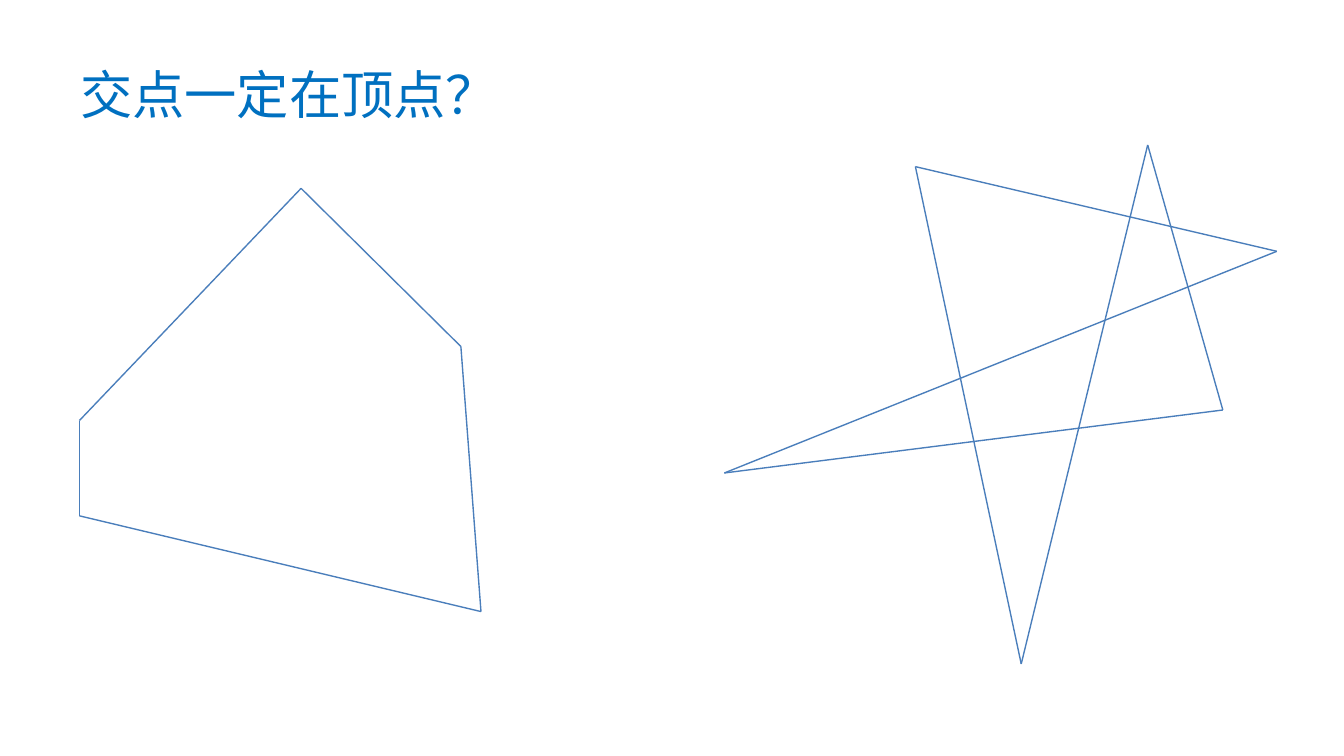
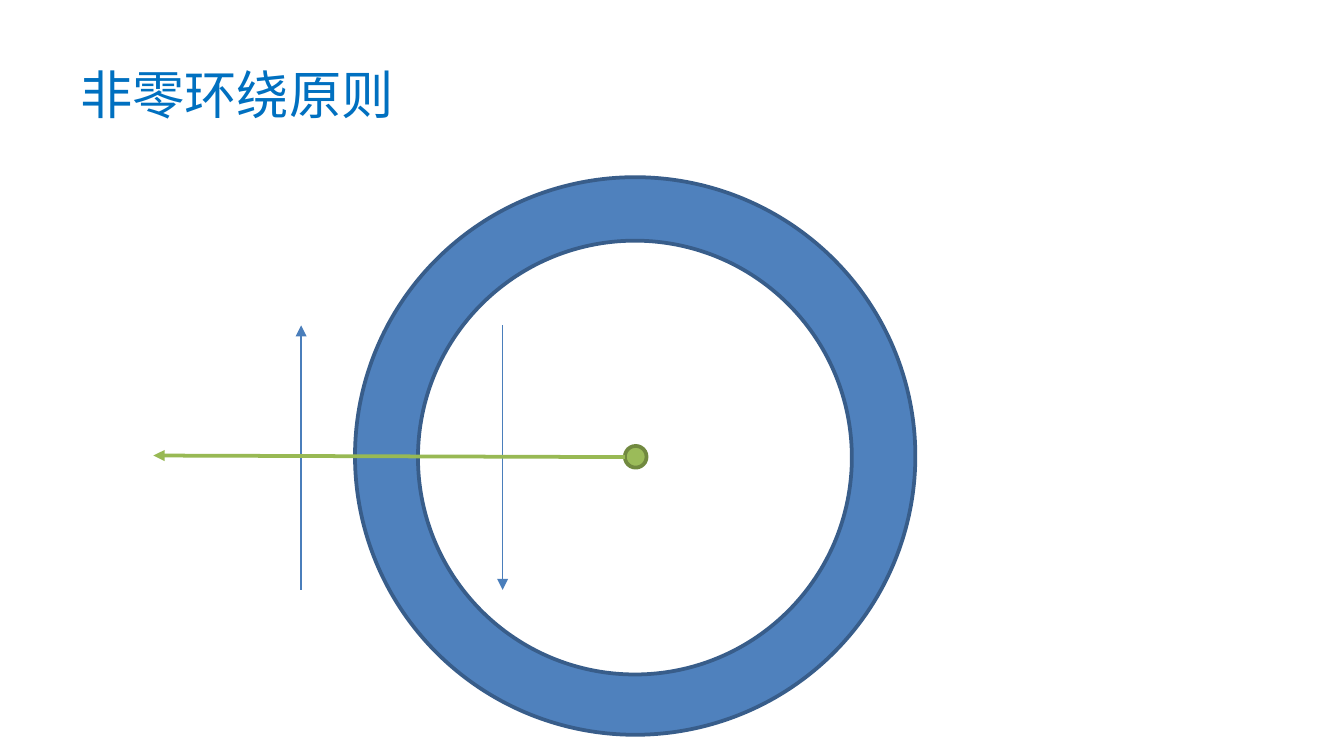
"""Build two slides on polygon crossings and the nonzero winding rule."""
from itertools import pairwise

from lxml import etree
from pptx import Presentation
from pptx.dml.color import RGBColor
from pptx.enum.shapes import MSO_CONNECTOR, MSO_SHAPE
from pptx.enum.text import MSO_ANCHOR
from pptx.oxml.ns import qn
from pptx.util import Cm, Pt

STRAIGHT = MSO_CONNECTOR.STRAIGHT
OVAL = MSO_SHAPE.OVAL
MIDDLE = MSO_ANCHOR.MIDDLE

FONT = "Noto Sans CJK SC"
TITLE_BLUE = "0070C0"
LINE_BLUE = "4A7EBB"
RING_BLUE = "4F81BD"
RING_EDGE = "385D8A"
POINT_GREEN = "9BBB59"
POINT_EDGE = "71893F"
RAY_GREEN = "98B954"
WHITE = "FFFFFF"


def set_line(line, color, width):
    line.color.rgb = RGBColor.from_string(color)
    line.width = Pt(width)


def add_line(shapes, start, end, color=LINE_BLUE, width=0.75, arrow=False):
    x1, y1, x2, y2 = (Cm(v) for v in (*start, *end))
    sp = shapes.add_connector(STRAIGHT, x1, y1, x2, y2)
    set_line(sp.line, color, width)
    if arrow:
        ln = sp.line._get_or_add_ln()
        etree.SubElement(ln, qn("a:tailEnd"), type="triangle")
    etree.SubElement(sp._element.spPr, qn("a:effectLst"))


prs = Presentation()
prs.slide_width = Cm(25.4)
prs.slide_height = Cm(14.29)

slides = []
for title in ("交点一定在顶点？", "非零环绕原则"):
    s = prs.slides.add_slide(prs.slide_layouts[6])
    tf = s.shapes.add_textbox(Cm(1.27), Cm(0.58), Cm(22.86), Cm(2.39)).text_frame
    tf.word_wrap = True
    tf.vertical_anchor = MIDDLE
    tf.text = title
    r = tf.paragraphs[0].runs[0]
    r.font.size = Pt(28)
    r.font.name = FONT
    r.font.color.rgb = RGBColor.from_string(TITLE_BLUE)
    etree.SubElement(r.font._element, qn("a:ea"), typeface=FONT)
    slides.append(s)

crossing_slide, winding_slide = slides

pentagon = [(1.5, 7.95), (5.69, 3.56), (8.71, 6.55), (9.09, 11.56), (1.5, 9.75)]
star = [(13.69, 8.94), (23.11, 7.75), (21.69, 2.74),
        (19.3, 12.55), (17.3, 3.15), (24.13, 4.75)]
star_group = crossing_slide.shapes.add_group_shape()
for shapes, points in ((crossing_slide.shapes, pentagon), (star_group.shapes, star)):
    for start, end in pairwise(points + points[:1]):
        add_line(shapes, start, end)

shapes = winding_slide.shapes
circles = [
    (6.71, 3.35, 10.59, 10.54, RING_BLUE, RING_EDGE),
    (7.9, 4.55, 8.2, 8.2, WHITE, RING_EDGE),
    (11.81, 8.43, 0.41, 0.41, POINT_GREEN, POINT_EDGE),
]
for left, top, width, height, fill, edge in circles:
    sp = shapes.add_shape(OVAL, Cm(left), Cm(top), Cm(width), Cm(height))
    sp.shadow.inherit = False
    sp.fill.solid()
    sp.fill.fore_color.rgb = RGBColor.from_string(fill)
    set_line(sp.line, edge, 2)

add_line(shapes, (5.69, 11.15), (5.69, 6.15), arrow=True)
add_line(shapes, (9.5, 6.15), (9.5, 11.15), arrow=True)
add_line(shapes, (11.81, 8.64), (2.9, 8.61), RAY_GREEN, 2, arrow=True)

prs.save("out.pptx")
